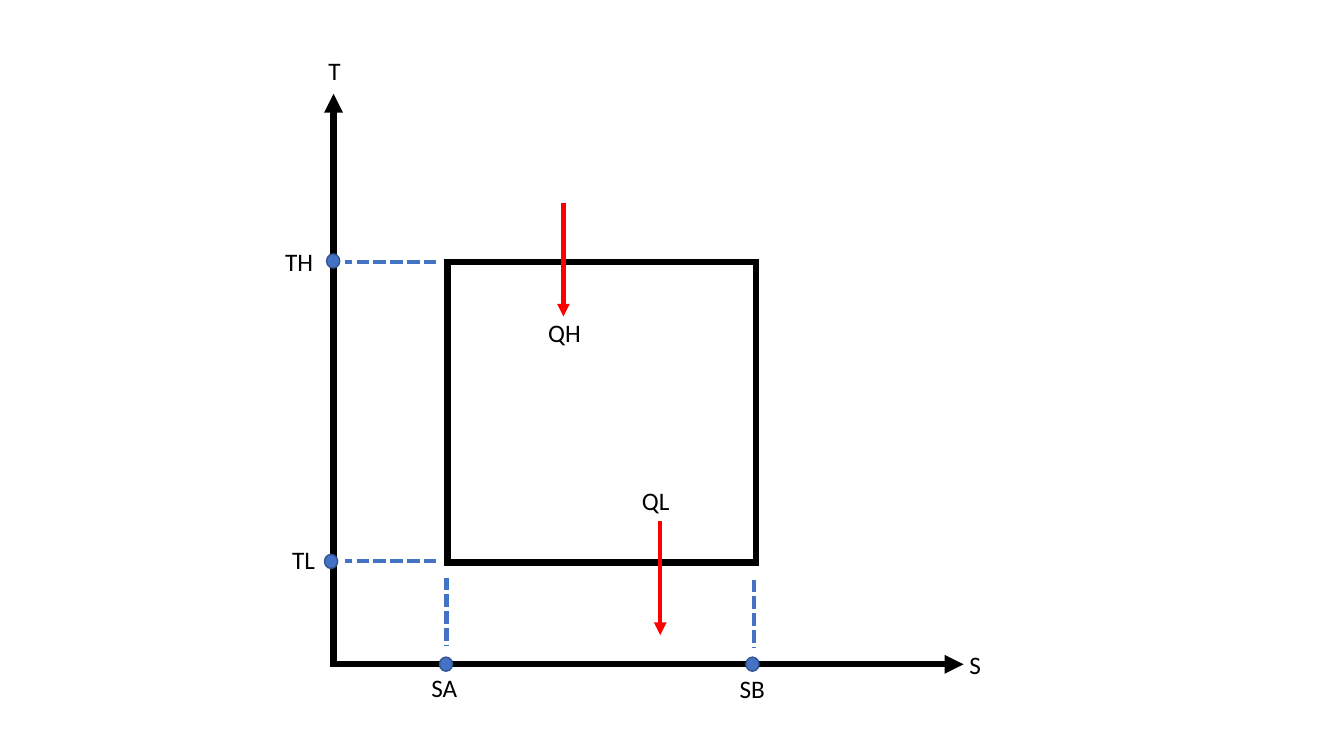
from typing import NamedTuple, Optional

from lxml.etree import SubElement
from pptx import Presentation
from pptx.dml.color import RGBColor
from pptx.enum.dml import MSO_LINE
from pptx.enum.shapes import MSO_CONNECTOR, MSO_SHAPE
from pptx.enum.text import MSO_AUTO_SIZE
from pptx.oxml.ns import qn
from pptx.slide import Slide
from pptx.util import Pt

BLACK = RGBColor(0x00, 0x00, 0x00)
BLUE = RGBColor(0x44, 0x72, 0xC4)
DARK_BLUE = RGBColor(0x32, 0x54, 0x91)
RED = RGBColor(0xFF, 0x00, 0x00)

DOT_WIDTH, DOT_HEIGHT = 9.4, 10.1
LABEL_HEIGHT = 28.8
LETTER_WIDTH, PAIR_WIDTH = 21.6, 45.4


class LineStyle(NamedTuple):
    color: RGBColor
    width: float
    dash: Optional[MSO_LINE] = None
    arrow: bool = False


class Segment(NamedTuple):
    x1: float
    y1: float
    x2: float
    y2: float
    style: LineStyle


class Dot(NamedTuple):
    left: float
    top: float


class Label(NamedTuple):
    text: str
    left: float
    top: float
    width: float = PAIR_WIDTH


AXIS = LineStyle(BLACK, 4.5, arrow=True)
PROCESS = LineStyle(BLACK, 4.5)
GUIDE = LineStyle(BLUE, 3, dash=MSO_LINE.SQUARE_DOT)
HEAT = LineStyle(RED, 3, arrow=True)

DIAGRAM_LINES = [
    # Temperature and entropy axes
    Segment(238.3, 476.6, 238.3, 67, AXIS),
    Segment(236.9, 474.5, 688.3, 474.5, AXIS),
    # Sides of the cycle
    Segment(319.7, 403.2, 319.7, 185, PROCESS),
    Segment(317.5, 401.8, 542.2, 401.8, PROCESS),
    Segment(320.4, 187.2, 539.3, 187.2, PROCESS),
    Segment(540, 403.2, 540, 185, PROCESS),
    # Guides from the cycle to the axes
    Segment(319, 412.6, 319, 460.8, GUIDE),
    Segment(538.6, 414, 538.6, 462.2, GUIDE),
    Segment(311.8, 187.2, 246.2, 187.2, GUIDE),
    Segment(311.8, 401, 246.2, 401, GUIDE),
]
HEAT_ARROWS = [
    Segment(402.5, 144.7, 402.5, 226.1, HEAT),
    Segment(471.6, 372.2, 471.6, 453.6, HEAT),
]
AXIS_DOTS = [
    Dot(233.3, 181.4),
    Dot(231.8, 396),
    Dot(313.9, 469.4),
    Dot(532.8, 469.4),
]
LABELS = [
    Label("T", 227.5, 36, LETTER_WIDTH),
    Label("S", 685.4, 460.1, LETTER_WIDTH),
    Label("QH", 384.5, 223.2),
    Label("QL", 451.4, 343.4),
    Label("TH", 196.6, 172.1),
    Label("TL", 201.6, 385.2),
    Label("SB", 521.3, 477.4),
    Label("SA", 301, 476.6),
]
LABEL_FONT = {"name": "Calibri", "size": Pt(18)}


def draw_segment(slide: Slide, segment: Segment) -> None:
    connector = slide.shapes.add_connector(
        MSO_CONNECTOR.STRAIGHT,
        Pt(segment.x1), Pt(segment.y1), Pt(segment.x2), Pt(segment.y2))
    style = segment.style
    line = connector.line
    line.color.rgb = style.color
    line.width = Pt(style.width)
    if style.dash is not None:
        line.dash_style = style.dash
    properties = connector._element.spPr
    if style.arrow:
        SubElement(properties.find(qn("a:ln")), qn("a:tailEnd"), type="triangle")
    SubElement(properties, qn("a:effectLst"))


def draw_dot(slide: Slide, dot: Dot) -> None:
    shape = slide.shapes.add_shape(
        MSO_SHAPE.OVAL, Pt(dot.left), Pt(dot.top), Pt(DOT_WIDTH), Pt(DOT_HEIGHT))
    shape.shadow.inherit = False
    shape.fill.solid()
    shape.fill.fore_color.rgb = BLUE
    shape.line.color.rgb = DARK_BLUE
    shape.line.width = Pt(1)


def draw_label(slide: Slide, label: Label) -> None:
    text_box = slide.shapes.add_textbox(
        Pt(label.left), Pt(label.top), Pt(label.width), Pt(LABEL_HEIGHT))
    text_frame = text_box.text_frame
    text_frame.word_wrap = True
    text_frame.auto_size = MSO_AUTO_SIZE.SHAPE_TO_FIT_TEXT
    run = text_frame.paragraphs[0].add_run()
    run.text = label.text
    for attribute, value in LABEL_FONT.items():
        setattr(run.font, attribute, value)
    run.font.color.rgb = BLACK


def main() -> None:
    presentation = Presentation()
    presentation.slide_width, presentation.slide_height = Pt(960), Pt(540)
    slide = presentation.slides.add_slide(presentation.slide_layouts[6])

    # Axes, cycle and guides, with dots on top
    for segment in DIAGRAM_LINES:
        draw_segment(slide, segment)
    for dot in AXIS_DOTS:
        draw_dot(slide, dot)

    # Heat flows and labels
    for arrow in HEAT_ARROWS:
        draw_segment(slide, arrow)
    for label in LABELS:
        draw_label(slide, label)

    presentation.save("out.pptx")


if __name__ == "__main__":
    main()
